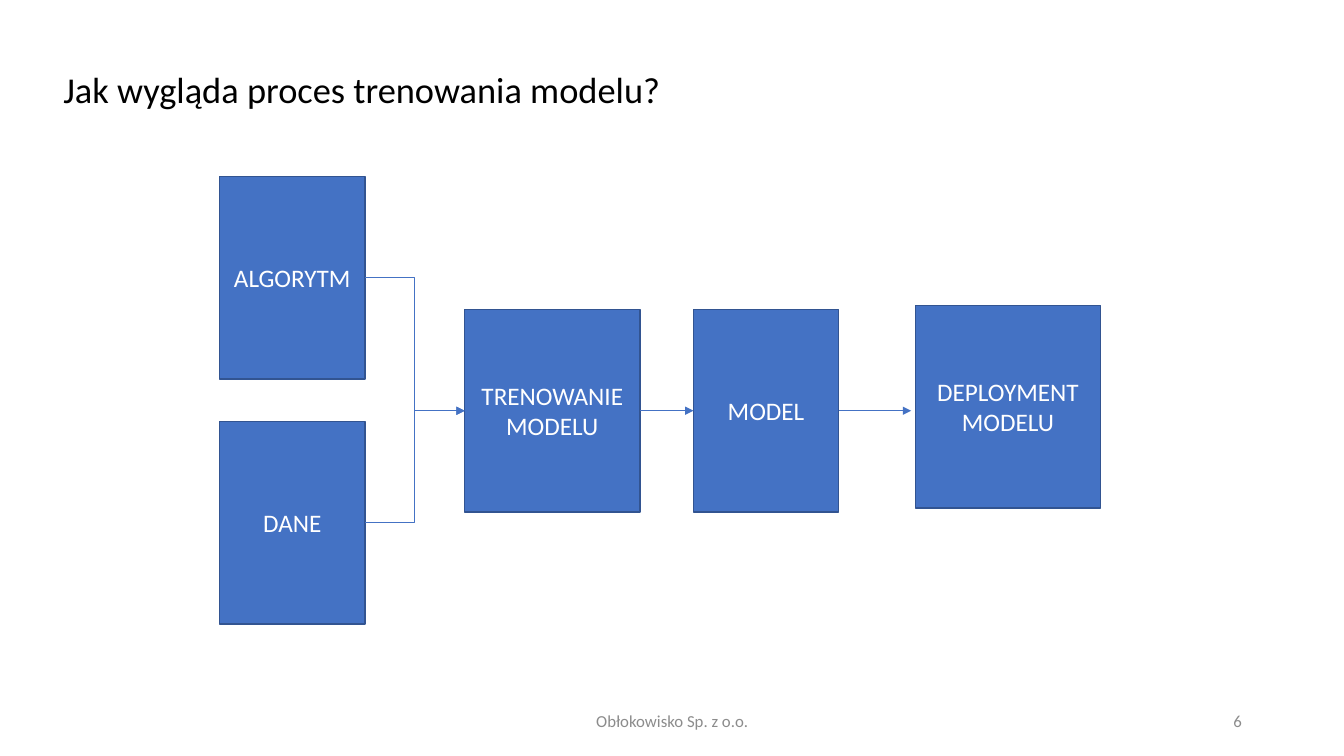
from dataclasses import dataclass
from typing import Optional

from lxml.etree import SubElement
from pptx import Presentation
from pptx.dml.color import RGBColor
from pptx.enum.shapes import MSO_CONNECTOR as Route, MSO_SHAPE as Preset
from pptx.enum.text import MSO_ANCHOR as Anchor, PP_ALIGN as Align
from pptx.oxml.ns import qn
from pptx.shapes.autoshape import Shape
from pptx.slide import Slide
from pptx.util import Inches, Pt

COLUMNS, ROWS = 160, 90
CELL = Inches(1) // 12
FONT = "Calibri"
COLORS = {
    "title": "000000",
    "footer": "8C8C8C",
    "box": "4472C4",
    "border": "325491",
    "label": "FFFFFF",
    "arrow": "4472C4",
}
RIGHT_SIDE, LEFT_SIDE = 3, 1
BOX_WIDTH, BOX_HEIGHT = 17.28, 24.12
INPUT_COLUMN, FLOW_ROW = 26.16, 36.84
FLOW_AXIS = FLOW_ROW + BOX_HEIGHT / 2


@dataclass(frozen=True)
class Caption:
    text: str
    column: float
    row: float
    width: float
    height: float
    size: int
    color: str
    align: Align
    spacing: float = 1.0


@dataclass(frozen=True)
class Step:
    text: str
    column: float
    row: float
    width: float = BOX_WIDTH


@dataclass(frozen=True)
class Arrow:
    source: str
    target: Optional[str]
    route: Route = Route.STRAIGHT


CAPTIONS = [
    Caption("Jak wygląda proces trenowania modelu?",
            6.36, 2.16, 138, 17.4, 26, "title", Align.LEFT, 0.9),
    Caption("Obłokowisko Sp. z o.o.", 53.04, 83.4, 54, 4.8, 12, "footer", Align.CENTER),
    Caption("6", 113.04, 83.4, 36, 4.8, 12, "footer", Align.RIGHT),
]
STEPS = {
    "data": Step("DANE", INPUT_COLUMN, 50.16),
    "algorithm": Step("ALGORYTM", INPUT_COLUMN, 21),
    "training": Step("TRENOWANIE MODELU", 55.32, FLOW_ROW, 20.88),
    "model": Step("MODEL", 82.56, FLOW_ROW),
    "deployment": Step("DEPLOYMENT\nMODELU", 108.96, 36.36, 22.08),
}
ARROWS = [
    Arrow("algorithm", "training", Route.ELBOW),
    Arrow("data", "training", Route.ELBOW),
    Arrow("training", "model"),
    Arrow("model", None),
]
FREE_END = (108.48, FLOW_AXIS)


def cells(count: float) -> int:
    """Convert a number of grid cells to slide units."""
    return round(count * CELL)


def color(name: str) -> RGBColor:
    return RGBColor.from_string(COLORS[name])


def write_text(box: Shape, text: str, size: int, color_name: str,
               align: Align, spacing: float = 1.0) -> None:
    frame = box.text_frame
    frame.word_wrap = True
    frame.vertical_anchor = Anchor.MIDDLE
    frame.text = text
    for para in frame.paragraphs:
        para.alignment = align
        para.line_spacing = spacing
        for span in para.runs:
            span.font.name = FONT
            span.font.size = Pt(size)
            span.font.color.rgb = color(color_name)


def add_caption(page: Slide, caption: Caption) -> None:
    box = page.shapes.add_textbox(cells(caption.column), cells(caption.row),
                                  cells(caption.width), cells(caption.height))
    write_text(box, caption.text, caption.size, caption.color,
               caption.align, caption.spacing)


def add_step(page: Slide, step: Step) -> Shape:
    box = page.shapes.add_shape(Preset.RECTANGLE, cells(step.column), cells(step.row),
                                cells(step.width), cells(BOX_HEIGHT))
    box.shadow.inherit = False
    box.fill.solid()
    box.fill.fore_color.rgb = color("box")
    box.line.color.rgb = color("border")
    box.line.width = Pt(1)
    write_text(box, step.text, 18, "label", Align.CENTER)
    return box


def add_arrow(page: Slide, arrow: Arrow, boxes: dict[str, Shape]) -> None:
    """Join two boxes, or run to the free end when there is no target."""
    end_column, end_row = FREE_END
    connector = page.shapes.add_connector(arrow.route, 0, 0,
                                          cells(end_column), cells(end_row))
    connector.begin_connect(boxes[arrow.source], RIGHT_SIDE)
    if arrow.target:
        connector.end_connect(boxes[arrow.target], LEFT_SIDE)
    connector.line.color.rgb = color("arrow")
    connector.line.width = Pt(0.5)
    properties = connector._element.spPr
    SubElement(properties.find(qn("a:ln")), qn("a:tailEnd"), type="triangle")
    SubElement(properties, qn("a:effectLst"))


def main() -> None:
    deck = Presentation()
    deck.slide_width, deck.slide_height = cells(COLUMNS), cells(ROWS)
    page = deck.slides.add_slide(deck.slide_layouts[6])
    for caption in CAPTIONS:
        add_caption(page, caption)
    boxes = {name: add_step(page, step) for name, step in STEPS.items()}
    for arrow in ARROWS:
        add_arrow(page, arrow, boxes)
    deck.save("out.pptx")


if __name__ == "__main__":
    main()
